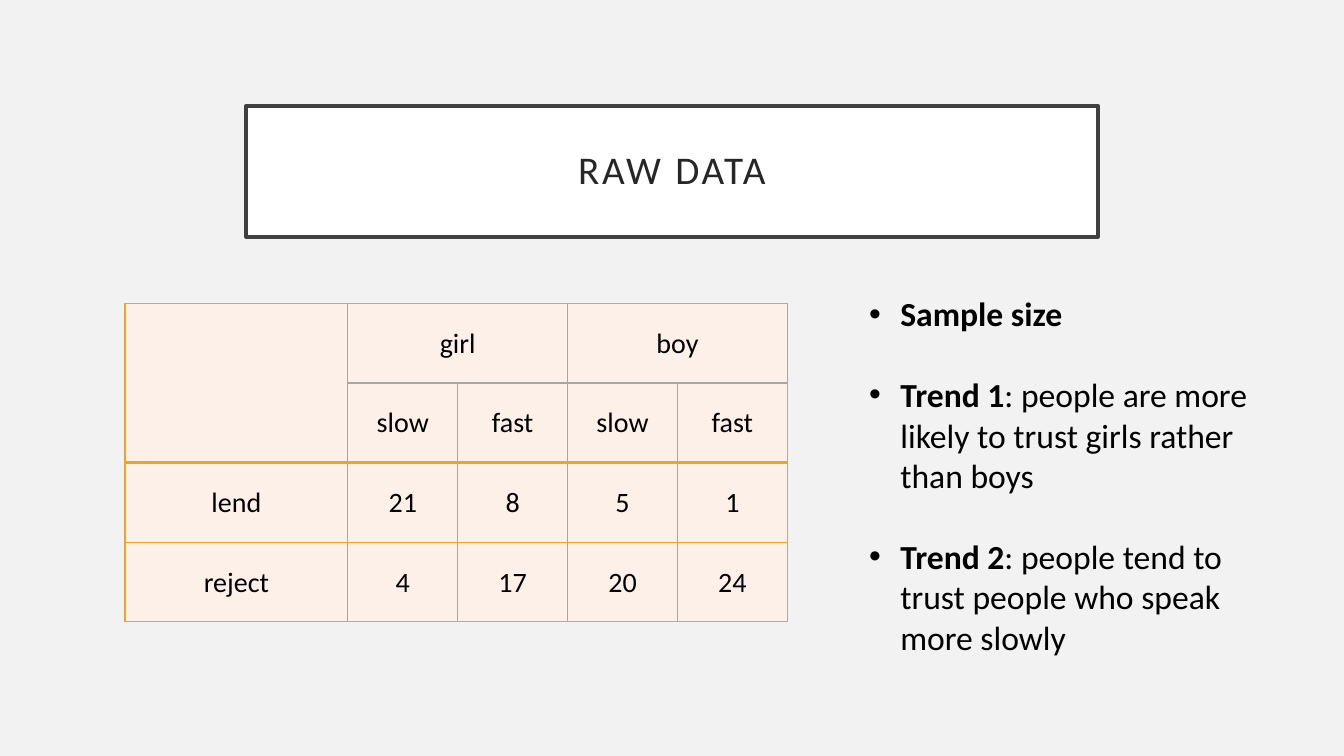
from dataclasses import dataclass

from lxml.etree import SubElement
from pptx import Presentation
from pptx.dml.color import RGBColor
from pptx.enum.text import MSO_ANCHOR, MSO_AUTO_SIZE, PP_ALIGN
from pptx.oxml.ns import qn
from pptx.util import Inches, Pt

HEADING = "RAW DATA"
FINDINGS = [
    ("Sample size", ""),
    ("Trend 1", ": people are more likely to trust girls rather than boys"),
    ("Trend 2", ": people tend to trust people who speak more slowly"),
]
COUNTS = [
    ["", "girl", "", "boy", ""],
    ["", "slow", "fast", "slow", "fast"],
    ["lend", "21", "8", "5", "1"],
    ["reject", "4", "17", "20", "24"],
]
MERGES = [((0, 0), (1, 0)), ((0, 1), (0, 2)), ((0, 3), (0, 4))]
HEADER_ROWS = 2
COLUMN_WIDTHS = [2.21] + [1.09] * 4
ROW_HEIGHT = 0.79


@dataclass(frozen=True)
class Theme:
    font: str = "Calibri"
    background: str = "F2F2F2"
    panel: str = "FFFFFF"
    frame: str = "404040"
    heading: str = "262626"
    ink: str = "000000"
    cell: str = "FDF0E8"
    rule: str = "F6A21D"
    inner_rule: str = "A6A6A6"
    heading_size: int = 28
    cell_size: int = 20
    finding_size: int = 24


THEME = Theme()


def paint(fill, color):
    fill.solid()
    fill.fore_color.rgb = RGBColor.from_string(color)


def place(shape, left, top, width, height):
    shape.left, shape.top = Inches(left), Inches(top)
    shape.width, shape.height = Inches(width), Inches(height)


def write(paragraph, text, size, color=THEME.ink, bold=False, align=None,
          line_spacing=1.0, space_before=0, tracking=0):
    paragraph.alignment = align
    paragraph.line_spacing = line_spacing
    paragraph.space_before = Pt(space_before)
    run = paragraph.add_run()
    run.text = text
    run.font.name = THEME.font
    run.font.size = Pt(size)
    run.font.bold = bold
    run.font.color.rgb = RGBColor.from_string(color)
    if tracking:
        run.font._element.set("spc", str(tracking * 100))


def set_margins(frame, inset):
    frame.margin_left = frame.margin_right = Inches(inset)
    frame.margin_top = frame.margin_bottom = Inches(inset)


def add_border(cell, side, color, width):
    border = SubElement(cell._tc.get_or_add_tcPr(), qn(f"a:ln{side}"), w=str(Pt(width)))
    fill = SubElement(border, qn("a:solidFill"))
    SubElement(fill, qn("a:srgbClr"), val=color)


def add_heading(slide):
    heading = slide.shapes.title
    place(heading, 2.44, 1.05, 8.45, 1.3)
    paint(heading.fill, THEME.panel)
    paint(heading.line.fill, THEME.frame)
    heading.line.width = Pt(2.5)
    frame = heading.text_frame
    set_margins(frame, 0.2)
    frame.auto_size = MSO_AUTO_SIZE.NONE
    frame.vertical_anchor = MSO_ANCHOR.MIDDLE
    write(frame.paragraphs[0], HEADING, THEME.heading_size, color=THEME.heading,
          align=PP_ALIGN.CENTER, line_spacing=0.9, tracking=2)


def add_findings(slide):
    findings = slide.placeholders[1]
    place(findings, 8.57, 2.86, 4.26, 4.14)
    frame = findings.text_frame
    set_margins(frame, 0.05)
    frame.word_wrap = True
    frame.auto_size = MSO_AUTO_SIZE.NONE
    frame.vertical_anchor = MSO_ANCHOR.TOP
    for index, (label, detail) in enumerate(FINDINGS):
        paragraph = frame.paragraphs[0] if index == 0 else frame.add_paragraph()
        gap = 29 if index else 0
        write(paragraph, label, THEME.finding_size, bold=True, space_before=gap)
        if detail:
            write(paragraph, detail, THEME.finding_size, space_before=gap)
        properties = paragraph._p.get_or_add_pPr()
        properties.set("marL", str(Inches(0.31)))
        properties.set("indent", str(Inches(-0.31)))
        SubElement(properties, qn("a:buFont"), typeface="Arial")
        SubElement(properties, qn("a:buChar"), char="•")


def add_counts(slide):
    rows, columns = len(COUNTS), len(COLUMN_WIDTHS)
    counts = slide.shapes.add_table(
        rows, columns, Inches(1.24), Inches(3.01),
        Inches(sum(COLUMN_WIDTHS)), Inches(ROW_HEIGHT * rows)).table
    counts.first_row = counts.horz_banding = False
    for column, width in zip(counts.columns, COLUMN_WIDTHS):
        column.width = Inches(width)
    for row in counts.rows:
        row.height = Inches(ROW_HEIGHT)
    for start, end in MERGES:
        counts.cell(*start).merge(counts.cell(*end))
    for r, labels in enumerate(COUNTS):
        for c, label in enumerate(labels):
            cell = counts.cell(r, c)
            set_margins(cell, 0.01)
            cell.margin_bottom = 0
            cell.vertical_anchor = MSO_ANCHOR.MIDDLE
            inner_top = r == 1 and c > 0
            inner_bottom = r == 0 and c > 0
            borders = {
                "L": (c > 0, 1),
                "R": (c < columns - 1, 1),
                "T": (inner_top, 2 if r == HEADER_ROWS else 1),
                "B": (inner_bottom, 2 if r == HEADER_ROWS - 1 else 1),
            }
            for side, (inner, width) in borders.items():
                add_border(cell, side, THEME.inner_rule if inner else THEME.rule, width)
            paint(cell.fill, THEME.cell)
            if label:
                write(cell.text_frame.paragraphs[0], label, THEME.cell_size,
                      align=PP_ALIGN.CENTER)


def main():
    deck = Presentation()
    deck.slide_width, deck.slide_height = Inches(13.33), Inches(7.5)
    slide = deck.slides.add_slide(deck.slide_layouts[1])
    paint(slide.background.fill, THEME.background)
    add_heading(slide)
    add_counts(slide)
    add_findings(slide)
    deck.save("out.pptx")


if __name__ == "__main__":
    main()
